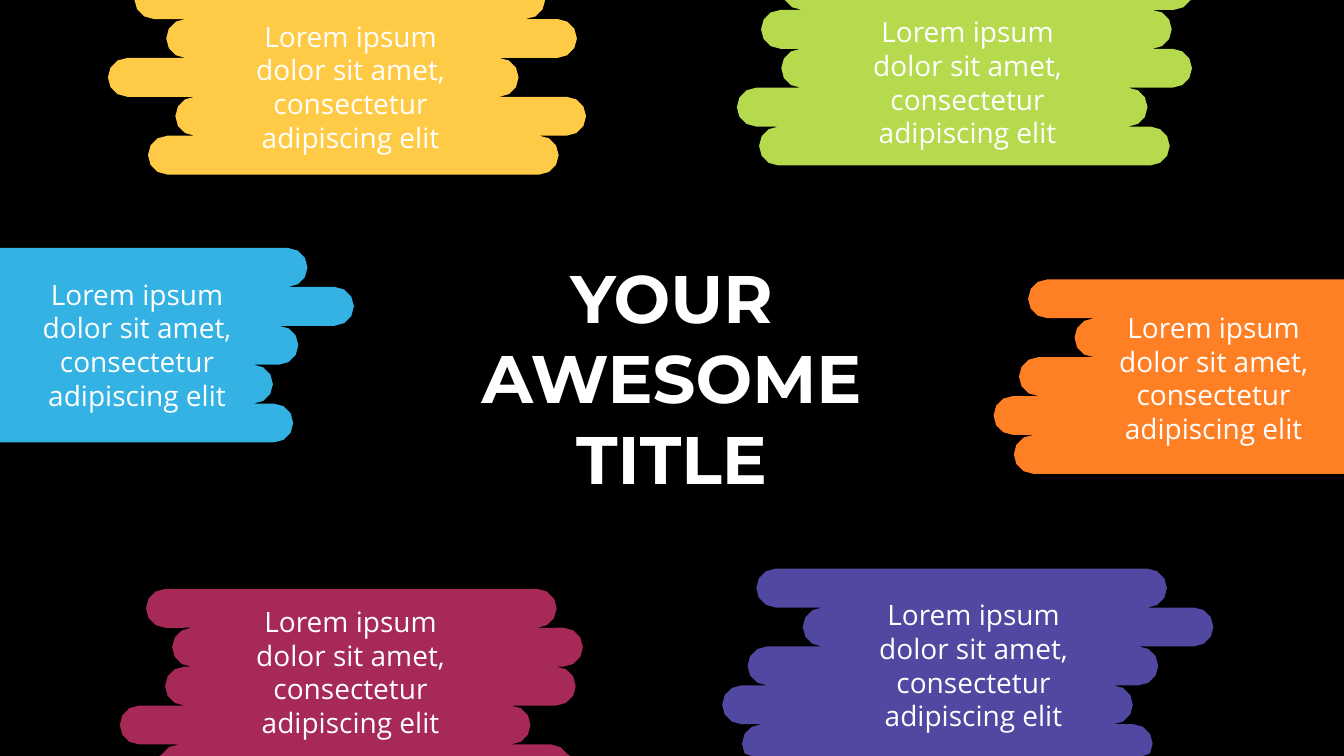
"""Build a black title slide framed by six coloured blobs of stacked rounded bars."""
import math

import pptx
import pptx.dml.color
import pptx.enum.text
import pptx.util

Cm = pptx.util.Cm
RGBColor = pptx.dml.color.RGBColor

BLACK = RGBColor(0x00, 0x00, 0x00)
WHITE = RGBColor(0xFF, 0xFF, 0xFF)
YELLOW = RGBColor(0xFF, 0xCA, 0x45)
GREEN = RGBColor(0xB5, 0xDA, 0x4E)
ORANGE = RGBColor(0xFF, 0x7F, 0x24)
BLUE = RGBColor(0x34, 0xB2, 0xE3)
CRIMSON = RGBColor(0xA6, 0x29, 0x57)
PURPLE = RGBColor(0x51, 0x48, 0xA1)

SLIDE_WIDTH, SLIDE_HEIGHT = 33.87, 19.05
BAR_WIDTH, BAR_HEIGHT = 10.35, 0.98
RADIUS = BAR_HEIGHT / 2
ARC_STEPS = 6
BODY_TEXT = "Lorem ipsum dolor sit amet, consectetur adipiscing elit"

BLOBS = [
    (YELLOW, -0.5, [3.39, 4.19, 2.72, 4.42, 3.73], (5.99, 0.36)),
    (GREEN, -0.73, [19.72, 19.18, 19.69, 18.57, 19.13], (21.54, 0.25)),
    (ORANGE, 7.04, [25.91, 27.08, 25.68, 25.04, 25.55], (27.74, 7.7)),
    (BLUE, 6.25, [-2.6, -1.43, -2.83, -3.47, -2.96], (0.61, 6.86)),
    (CRIMSON, 14.84, [3.68, 4.34, 4.16, 3.02, 4.02], (5.99, 15.11)),
    (PURPLE, 14.33, [19.06, 20.23, 18.84, 18.2, 18.7], (21.69, 14.94)),
]


def blob_outline(top, bar_lefts):
    """Return the outline of the stacked bars, clipped to the slide."""
    left_side, right_side = [], []
    for row, bar_left in enumerate(bar_lefts):
        center_y = top + row * BAR_HEIGHT + RADIUS
        for step in range(ARC_STEPS + 1):
            angle = math.pi * step / ARC_STEPS
            inset = RADIUS * (1 - math.sin(angle))
            y = center_y - RADIUS * math.cos(angle)
            left_side.append((bar_left + inset, y))
            right_side.append((bar_left + BAR_WIDTH - inset, y))
    clipped = [
        (Cm(min(max(x, 0), SLIDE_WIDTH)), Cm(min(max(y, 0), SLIDE_HEIGHT)))
        for x, y in left_side + right_side[::-1]
    ]
    return list(dict.fromkeys(clipped))


def add_centered_run(paragraph, text, font_name, size, bold=False):
    """Add one white run to a centred paragraph."""
    paragraph.alignment = pptx.enum.text.PP_ALIGN.CENTER
    run = paragraph.add_run()
    run.text = text
    run.font.name = font_name
    run.font.size = pptx.util.Pt(size)
    run.font.bold = bold
    run.font.color.rgb = WHITE


presentation = pptx.Presentation()
presentation.slide_width = Cm(SLIDE_WIDTH)
presentation.slide_height = Cm(SLIDE_HEIGHT)
slide = presentation.slides.add_slide(presentation.slide_layouts[5])
slide.background.fill.solid()
slide.background.fill.fore_color.rgb = BLACK

title = slide.shapes.title
title.left, title.top = Cm(10.92), Cm(6.32)
title.width, title.height = Cm(12.01), Cm(6.4)
title_frame = title.text_frame
title_frame.word_wrap = True
title_frame.auto_size = pptx.enum.text.MSO_AUTO_SIZE.NONE
title_frame.vertical_anchor = pptx.enum.text.MSO_ANCHOR.TOP
for index, word in enumerate(["YOUR", "AWESOME", "TITLE"]):
    paragraph = title_frame.add_paragraph() if index else title_frame.paragraphs[0]
    add_centered_run(paragraph, word, "Montserrat", 48, bold=True)

for color, top, bar_lefts, (text_left, text_top) in BLOBS:
    group = slide.shapes.add_group_shape()
    outline = blob_outline(top, bar_lefts)
    builder = group.shapes.build_freeform(*outline[0])
    builder.add_line_segments(outline[1:], close=True)
    blob = builder.convert_to_shape()
    blob.shadow.inherit = False
    blob.fill.solid()
    blob.fill.fore_color.rgb = color
    blob.line.fill.background()

    caption = group.shapes.add_textbox(Cm(text_left), Cm(text_top), Cm(5.69), Cm(3.68))
    caption.text_frame.word_wrap = True
    add_centered_run(caption.text_frame.paragraphs[0], BODY_TEXT, "Open Sans", 20)

presentation.save("out.pptx")
